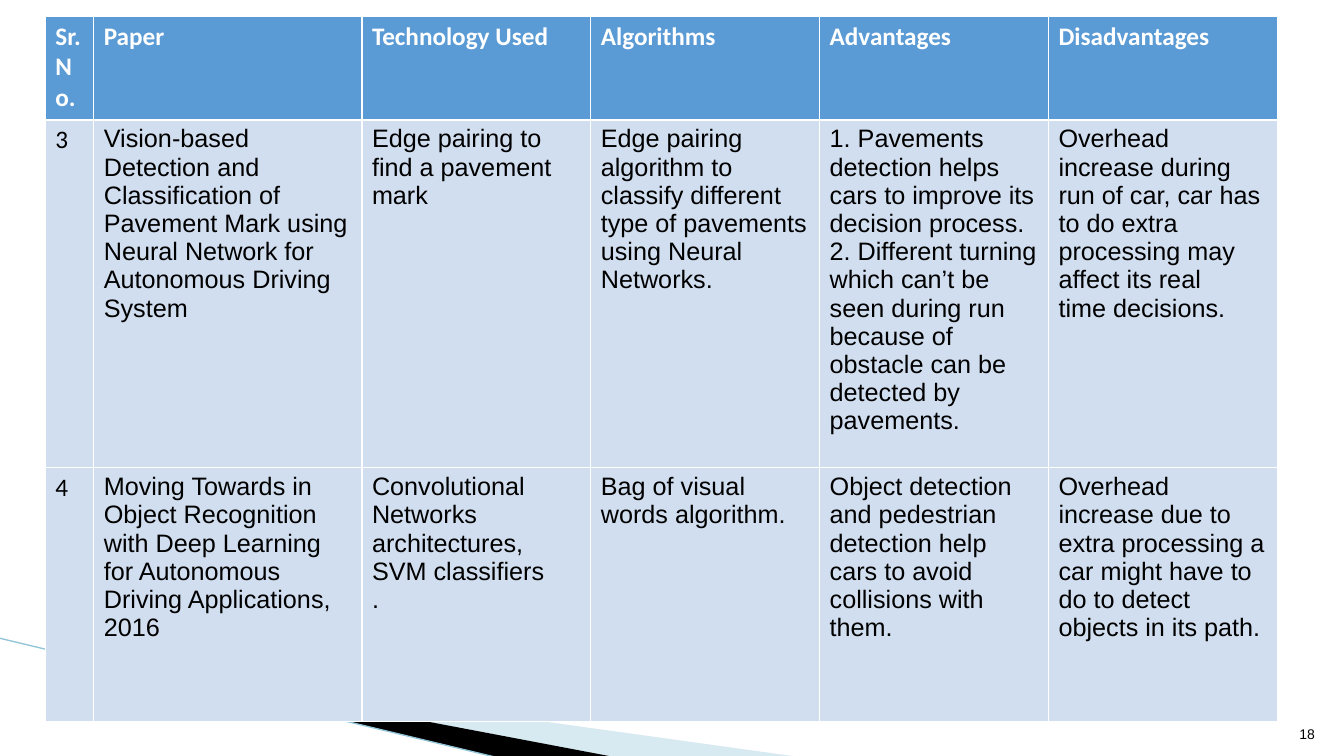
from lxml.etree import SubElement
from pptx import Presentation
from pptx.dml.color import RGBColor
from pptx.enum.shapes import MSO_CONNECTOR
from pptx.enum.text import MSO_ANCHOR, PP_ALIGN
from pptx.oxml.ns import qn
from pptx.util import Pt

EMU_PER_PX = 9144
COLORS = {
    "white": "FFFFFF",
    "black": "000000",
    "header": "5B9BD5",
    "body": "D1DEEF",
    "swoosh": "9CCADC",
    "edge": "93C5D8",
}
HEADER_FONT = {"name": "Calibri", "size": Pt(18), "bold": True}
NUMBER_FONT = {"name": "Calibri", "size": Pt(18), "bold": False}
BODY_FONT = {"name": "Arial", "size": Pt(18), "bold": False}
PAGE_NUMBER_FONT = {"name": "Arial", "size": Pt(10), "bold": False}

COLUMN_WIDTHS = [48, 266] + [227] * 4
ROW_HEIGHTS = [103, 345, 252]
PAPERS = [
    ["Sr. No.", "Paper", "Technology Used", "Algorithms", "Advantages", "Disadvantages"],
    [
        "3",
        "Vision-based Detection and Classification of Pavement Mark using "
        "Neural Network for Autonomous Driving System",
        "Edge pairing to\nfind a pavement mark",
        "Edge pairing algorithm to classify different type of pavements "
        "using Neural Networks.",
        "1. Pavements\ndetection helps cars to improve its decision process.\n"
        "2. Different turning which can’t be seen during run because of "
        "obstacle can be detected by pavements.",
        "Overhead increase during run of car, car has to do extra processing "
        "may affect its real\ntime decisions.",
    ],
    [
        "4",
        "Moving Towards in Object Recognition with Deep Learning for "
        "Autonomous Driving Applications, 2016",
        "Convolutional Networks architectures, SVM classifiers\n.",
        "Bag of visual words algorithm.",
        "Object detection and pedestrian detection help cars to avoid "
        "collisions with them.",
        "Overhead increase due to extra processing a car might have to do "
        "to detect objects in its path.",
    ],
]


def px(length):
    return length * EMU_PER_PX


def color(name):
    return RGBColor.from_string(COLORS[name])


def write_text(frame, text, font_format, color_name, alignment=PP_ALIGN.LEFT):
    """Fill a text frame with one paragraph for each line of text."""
    frame.text = text
    for para in frame.paragraphs:
        para.alignment = alignment
        for span in para.runs:
            for attribute, value in font_format.items():
                setattr(span.font, attribute, value)
            span.font.color.rgb = color(color_name)


def add_swoosh(page, points, color_name, opacity=100):
    start, *others = points
    builder = page.shapes.build_freeform(*start, scale=EMU_PER_PX)
    builder.add_line_segments(others, close=True)
    shape = builder.convert_to_shape()
    shape.shadow.inherit = False
    shape.line.fill.background()
    shape.fill.solid()
    shape.fill.fore_color.rgb = color(color_name)
    if opacity < 100:
        color_element = shape.element.spPr.find(".//" + qn("a:srgbClr"))
        SubElement(color_element, qn("a:alpha"), val=str(opacity * 1000))


def add_line(page, start, end, color_name, width):
    ends = [px(length) for length in (*start, *end)]
    line = page.shapes.add_connector(MSO_CONNECTOR.STRAIGHT, *ends)
    line.line.color.rgb = color(color_name)
    line.line.width = Pt(width)
    SubElement(line.element.spPr, qn("a:effectLst"))


def add_borders(cell, color_name, width):
    properties = cell._tc.get_or_add_tcPr()
    for position, side in enumerate(("lnL", "lnR", "lnT", "lnB")):
        border = SubElement(properties, qn(f"a:{side}"), w=str(Pt(width)))
        fill = SubElement(border, qn("a:solidFill"))
        SubElement(fill, qn("a:srgbClr"), val=COLORS[color_name])
        properties.insert(position, border)


def add_paper_table(page, left, top):
    frame = page.shapes.add_table(
        len(ROW_HEIGHTS), len(COLUMN_WIDTHS), px(left), px(top),
        px(sum(COLUMN_WIDTHS)), px(sum(ROW_HEIGHTS)),
    )
    table = frame.table
    table.horz_banding = False
    for column, width in zip(table.columns, COLUMN_WIDTHS):
        column.width = px(width)
    for row, height in zip(table.rows, ROW_HEIGHTS):
        row.height = px(height)
    for row_index, texts in enumerate(PAPERS):
        is_header = row_index == 0
        for column_index, text in enumerate(texts):
            cell = table.cell(row_index, column_index)
            cell.fill.solid()
            cell.fill.fore_color.rgb = color("header" if is_header else "body")
            add_borders(cell, "white", 0.96)
            if is_header:
                write_text(cell.text_frame, text, HEADER_FONT, "white")
            else:
                font_format = BODY_FONT if column_index else NUMBER_FONT
                write_text(cell.text_frame, text, font_format, "black")


def add_page_number(page, number):
    box = page.shapes.add_textbox(px(1261), px(701), px(53), px(40))
    box.text_frame.word_wrap = True
    box.text_frame.vertical_anchor = MSO_ANCHOR.BOTTOM
    write_text(box.text_frame, number, PAGE_NUMBER_FONT, "black", PP_ALIGN.RIGHT)


def main():
    deck = Presentation()
    deck.slide_width = px(1333)
    deck.slide_height = px(750)
    page = deck.slides.add_slide(deck.slide_layouts[6])
    add_swoosh(page, [(73, 651), (793, 751), (608, 751), (73, 650)], "swoosh", 40)
    add_swoosh(page, [(71, 649), (609, 751), (496, 752), (72, 650)], "black")
    add_line(page, (-1, 633), (495, 752), "edge", 0.95)
    add_paper_table(page, 45, 16)
    add_page_number(page, "18")
    deck.save("out.pptx")


if __name__ == "__main__":
    main()
